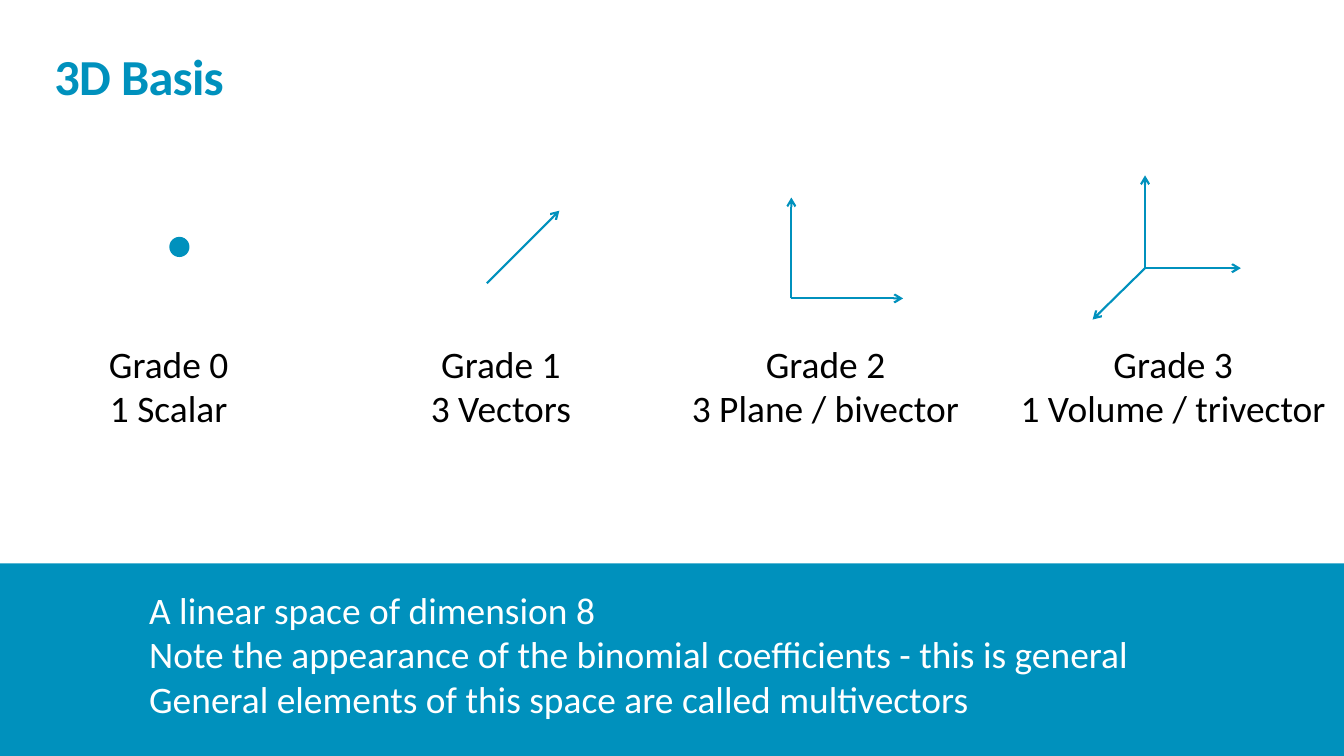
from dataclasses import dataclass

from lxml import etree
from pptx import Presentation
from pptx import util as u
from pptx.dml.color import RGBColor
from pptx.enum import shapes, text
from pptx.oxml.ns import qn

BLUE, BLACK, WHITE = "0091BD", "000000", "FFFFFF"
BODY = {"name": "Calibri", "size": u.Pt(26.7)}
HEADING = {"name": "Calibri", "size": u.Pt(36), "bold": True}

Point = tuple[float, float]

presentation = Presentation()
presentation.slide_width = u.Inches(13.333)
presentation.slide_height = u.Inches(7.5)
slide = presentation.slides.add_slide(presentation.slide_layouts[6])


# All positions are percentages of the slide's width and height
def across(share: float) -> u.Emu:
    return u.Emu(round(presentation.slide_width * share / 100))


def down(share: float) -> u.Emu:
    return u.Emu(round(presentation.slide_height * share / 100))


@dataclass
class Box:
    left: float
    top: float
    width: float
    height: float

    def place(self) -> tuple[u.Emu, u.Emu, u.Emu, u.Emu]:
        return across(self.left), down(self.top), across(self.width), down(self.height)


@dataclass
class Grade:
    caption: str
    center: float
    width: float
    arrows: list[tuple[Point, Point]]


def color(value: str) -> RGBColor:
    return RGBColor.from_string(value)


def add_solid(kind: shapes.MSO_SHAPE, box: Box) -> None:
    shape = slide.shapes.add_shape(kind, *box.place())
    shape.shadow.inherit = False
    shape.fill.solid()
    shape.fill.fore_color.rgb = color(BLUE)
    shape.line.fill.background()


def add_text(lines: list[str], box: Box, style: dict, ink: str, frame_format: dict,
             paragraph_format: dict, spacing: int = 0) -> None:
    frame = slide.shapes.add_textbox(*box.place()).text_frame
    margins = {f"margin_{side}": 0 for side in ("left", "top", "right", "bottom")}
    for name, value in (margins | frame_format).items():
        setattr(frame, name, value)
    for index, line in enumerate(lines):
        paragraph = frame.add_paragraph() if index else frame.paragraphs[0]
        for name, value in paragraph_format.items():
            setattr(paragraph, name, value)
        run = paragraph.add_run()
        run.text = line
        for name, value in style.items():
            setattr(run.font, name, value)
        run.font.color.rgb = color(ink)
        if spacing:
            run.font._element.set("spc", str(spacing))


def add_arrow(parent, start: Point, end: Point) -> None:
    arrow = parent.add_connector(shapes.MSO_CONNECTOR.STRAIGHT, across(start[0]),
                                 down(start[1]), across(end[0]), down(end[1]))
    arrow.line.color.rgb = color(BLUE)
    arrow.line.width = u.Pt(1.5)
    properties = arrow._element.spPr
    etree.SubElement(properties.find(qn("a:ln")), qn("a:tailEnd"), type="arrow")
    etree.SubElement(properties, qn("a:effectLst"))


def add_grade(number: int, grade: Grade) -> None:
    # Arrows of one figure are grouped
    parent = slide.shapes
    if len(grade.arrows) > 1:
        parent = slide.shapes.add_group_shape().shapes
    for start, end in grade.arrows:
        add_arrow(parent, start, end)
    add_text([f"Grade {number}", grade.caption],
             Box(grade.center - grade.width / 2, 45.07, grade.width, 12), BODY, BLACK,
             {"word_wrap": False, "auto_size": text.MSO_AUTO_SIZE.SHAPE_TO_FIT_TEXT},
             {"alignment": text.PP_ALIGN.CENTER})


CORNER, ORIGIN = (58.88, 39.47), (85.2, 35.47)
GRADES = [
    Grade("1 Scalar", 12.56, 8.93, []),
    Grade("3 Vectors", 37.28, 10.5, [((36.22, 37.47), (41.62, 27.87))]),
    Grade("3 Plane / bivector", 61.43, 19.95,
          [(CORNER, (67.2, 39.47)), (CORNER, (58.88, 26.13))]),
    Grade("1 Volume / trivector", 87.3, 22.8,
          [(ORIGIN, (85.2, 23.2)), (ORIGIN, (92.33, 35.47)), (ORIGIN, (81.3, 42.27))]),
]

# Title
add_text(["3D Basis"], Box(4.05, 4.27, 91.7, 9.73), HEADING, BLUE,
         {"word_wrap": True, "vertical_anchor": text.MSO_ANCHOR.BOTTOM},
         {"line_spacing": 0.85}, spacing=-50)

# Scalar dot, then the figures and captions by grade
add_solid(shapes.MSO_SHAPE.OVAL, Box(12.6, 31.33, 1.5, 2.67))
for number, grade in enumerate(GRADES):
    add_grade(number, grade)

# Band with the conclusions
add_solid(shapes.MSO_SHAPE.RECTANGLE, Box(0, 74.53, 100, 25.47))
add_text(["A linear space of dimension 8",
          "Note the appearance of the binomial coefficients - this is general",
          "General elements of this space are called multivectors"],
         Box(11.1, 77.6, 80.7, 18), BODY, WHITE,
         {"word_wrap": True, "auto_size": text.MSO_AUTO_SIZE.SHAPE_TO_FIT_TEXT},
         {"alignment": text.PP_ALIGN.LEFT})

presentation.save("out.pptx")
